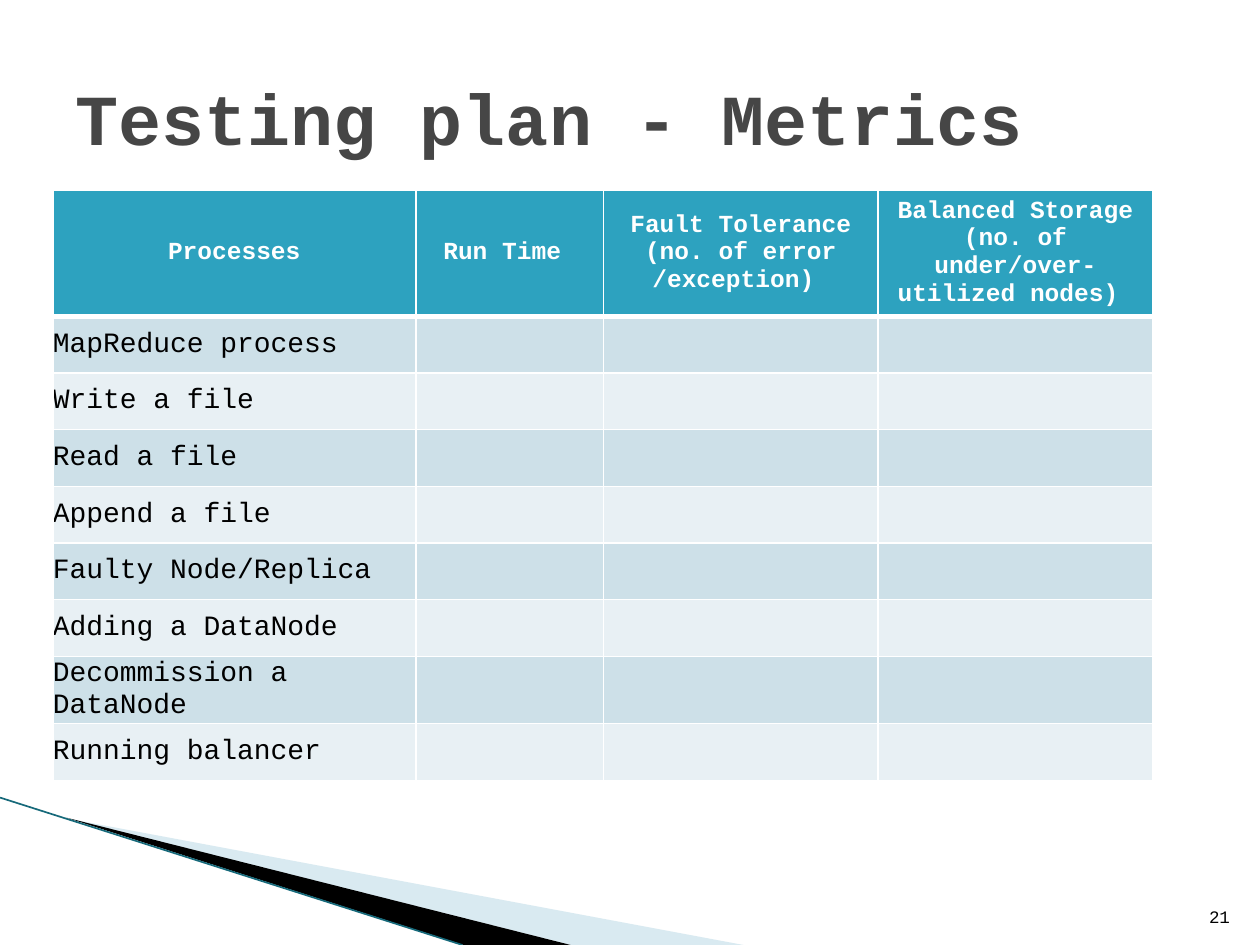
from dataclasses import dataclass

from lxml import etree
from pptx import Presentation
from pptx.dml.color import RGBColor
from pptx.enum.shapes import MSO_CONNECTOR
from pptx.enum.text import MSO_ANCHOR as ANCHOR, MSO_AUTO_SIZE, PP_ALIGN as ALIGN
from pptx.oxml.ns import qn
from pptx.util import Inches, Pt


@dataclass(frozen=True)
class Theme:
    font: str = "Courier New"
    title: str = "464646"
    text: str = "000000"
    white: str = "FFFFFF"
    header: str = "2DA2BF"
    bands: tuple = ("CDE0E8", "E8F0F4")
    wedge: str = "A0CBDC"
    edge: str = "16697A"
    title_size: int = 41
    header_size: int = 14
    body_size: int = 16
    number_size: int = 10


THEME = Theme()
NBSP = chr(160)
HEADERS = ["Processes"] + [name + NBSP for name in (
    "Run Time",
    "Fault Tolerance (no. of error /exception)",
    "Balanced Storage (no. of under/over-utilized nodes)",
)]
PROCESSES = [name + NBSP for name in (
    "MapReduce process", "Write a file", "Read a file", "Append a file",
    "Faulty Node/Replica", "Adding a DataNode", "Decommission a DataNode",
    "Running balancer",
)]
COL_WIDTHS = (2.88, 1.49, 2.18, 2.18)
HEADER_HEIGHT, ROW_HEIGHT, TALL_ROW_HEIGHT = 1, 0.45, 0.53
TALL_ROW = 7


def rgb(value):
    return RGBColor.from_string(value)


def set_text(tf, text, size, color=THEME.text, bold=False, align=ALIGN.LEFT):
    p = tf.paragraphs[0]
    p.alignment = align
    r = p.add_run()
    r.text = text
    font = r.font
    font.name, font.size, font.bold = THEME.font, Pt(size), bold
    font.color.rgb = rgb(color)


def add_polygon(slide, left, top, points, color, alpha=None):
    vertices = [(Inches(left + x), Inches(top + y)) for x, y in points]
    builder = slide.shapes.build_freeform(*vertices[0], scale=1.0)
    builder.add_line_segments(vertices[1:], close=True)
    sp = builder.convert_to_shape()
    sp.shadow.inherit = False
    sp.fill.solid()
    sp.fill.fore_color.rgb = rgb(color)
    sp.line.fill.background()
    if alpha is not None:
        clr = sp._element.spPr.find(f"{qn('a:solidFill')}/{qn('a:srgbClr')}")
        etree.SubElement(clr, qn("a:alpha"), val=str(alpha * 1000))


def add_corner(slide, left, top, height):
    """Decorative wedges rising from the bottom edge to the left edge."""
    add_polygon(slide, left, top,
                [(0.55, 0.17), (5.9, height), (4.53, height)], THEME.wedge, 40)
    add_polygon(slide, left, top,
                [(0.53, 0.16), (4.53, height), (3.68, height)], THEME.text)
    line = slide.shapes.add_connector(
        MSO_CONNECTOR.STRAIGHT, Inches(left), Inches(top),
        Inches(left + 3.67), Inches(top + height))
    line.line.color.rgb = rgb(THEME.edge)
    line.line.width = Pt(0.95)
    etree.SubElement(line._element.spPr, qn("a:effectLst"))


def add_title(slide, left, top, width, height, text):
    sp = slide.shapes.title
    sp.left, sp.top = Inches(left), Inches(top)
    sp.width, sp.height = Inches(width), Inches(height)
    tf = sp.text_frame
    tf.word_wrap = True
    tf.auto_size = MSO_AUTO_SIZE.NONE
    tf.vertical_anchor = ANCHOR.MIDDLE
    set_text(tf, text, THEME.title_size, THEME.title, bold=True)


def add_slide_number(slide, left, top, width, height, text):
    tf = slide.shapes.add_textbox(Inches(left), Inches(top), Inches(width),
                                  Inches(height)).text_frame
    tf.word_wrap = True
    tf.vertical_anchor = ANCHOR.BOTTOM
    set_text(tf, text, THEME.number_size, align=ALIGN.RIGHT)


def set_borders(cell, bottom):
    """White rules; they must precede the cell fill in the XML."""
    tc_pr = cell._tc.get_or_add_tcPr()
    for side, width in (("L", 1), ("R", 1), ("T", 1), ("B", bottom)):
        ln = etree.SubElement(tc_pr, qn(f"a:ln{side}"), w=str(Pt(width)))
        fill = etree.SubElement(ln, qn("a:solidFill"))
        etree.SubElement(fill, qn("a:srgbClr"), val=THEME.white)


def format_cell(cell, fill, bottom=1):
    set_borders(cell, bottom)
    cell.fill.solid()
    cell.fill.fore_color.rgb = rgb(fill)


def write_cell(cell, text, size, **fmt):
    cell.margin_left = cell.margin_right = 0
    cell.margin_top = cell.margin_bottom = 0
    cell.vertical_anchor = ANCHOR.MIDDLE
    set_text(cell.text_frame, text, size, **fmt)


def add_metrics_table(slide, left, top):
    heights = [HEADER_HEIGHT] + [ROW_HEIGHT] * len(PROCESSES)
    heights[TALL_ROW] = TALL_ROW_HEIGHT
    table = slide.shapes.add_table(
        len(heights), len(COL_WIDTHS), Inches(left), Inches(top),
        Inches(sum(COL_WIDTHS)), Inches(sum(heights))).table
    for column, width in zip(table.columns, COL_WIDTHS):
        column.width = Inches(width)
    for row, height in zip(table.rows, heights):
        row.height = Inches(height)

    # Header row
    for col, text in enumerate(HEADERS):
        cell = table.cell(0, col)
        format_cell(cell, THEME.header, bottom=3)
        write_cell(cell, text, THEME.header_size, color=THEME.white,
                   bold=True, align=ALIGN.CENTER)

    # One banded row per process, with metrics left open
    for row, text in enumerate(PROCESSES, start=1):
        for col in range(len(COL_WIDTHS)):
            format_cell(table.cell(row, col), THEME.bands[(row - 1) % 2])
        write_cell(table.cell(row, 0), text, THEME.body_size)


def main():
    prs = Presentation()
    prs.slide_width, prs.slide_height = Inches(10), Inches(7.5)
    slide = prs.slides.add_slide(prs.slide_layouts[5])
    add_corner(slide, 0, 6.33, 1.17)
    add_slide_number(slide, 9.46, 7.01, 0.4, 0.4, "21")
    add_title(slide, 0.5, 0.3, 9, 1.25, "Testing plan - Metrics")
    add_metrics_table(slide, 0.42, 1.51)
    prs.save("out.pptx")


if __name__ == "__main__":
    main()
